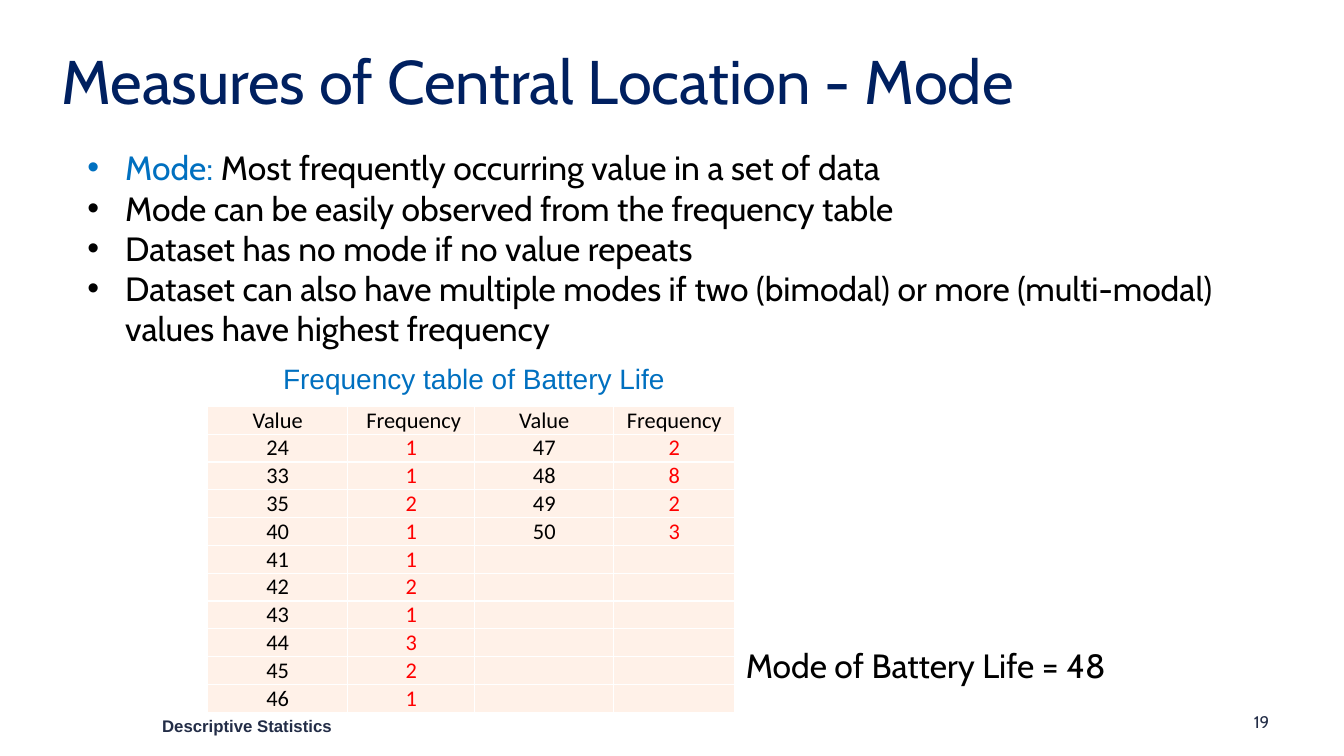
"""Build the slide on the mode as a measure of central location."""
from dataclasses import dataclass
from itertools import zip_longest

from lxml import etree
from pptx import Presentation
from pptx import util as u
from pptx.dml import color
from pptx.enum import text
from pptx.oxml import ns

HUE = {"navy": "002060", "blue": "0070C0", "black": "000000", "red": "FF0000",
       "slate": "232D47", "peach": "FFF1E8", "white": "FFFFFF"}
COLS = (100.1, 90.7, 99.4, 86.4)
ROW = 19.8
INDENT = 27
HEAD = ("Value", " Frequency", "Value", "Frequency")
LEFT = ((24, 1), (33, 1), (35, 2), (40, 1), (41, 1),
        (42, 2), (43, 1), (44, 3), (45, 2), (46, 1))
RIGHT = ((47, 2), (48, 8), (49, 2), (50, 3))


@dataclass
class Run:
    words: str
    hue: str = "black"


@dataclass
class Box:
    at: tuple[float, float, float, float]
    paras: list[list[Run]]
    size: float
    font: str = "Cabin"
    bold: bool = False
    wrap: bool = True
    middle: bool = False
    space: float = 1
    bullet: bool = False


BOXES = [
    Box((108.7, 507.6, 157.7, 21.6), [[Run("Descriptive Statistics", "slate")]],
        12, "Arial", bold=True),
    Box((888.5, 504.7, 48.2, 21.6), [[Run("19", "slate")]], 12),
    Box((36.7, 29.5, 828, 61.9), [[Run("Measures of Central Location - Mode", "navy")]],
        44, middle=True, space=0.9),
    Box((55.4, 101.5, 871.2, 152.6), [
        [Run("Mode: ", "blue"), Run("Most frequently occurring value in a set of data")],
        [Run("Mode can be easily observed from the frequency table")],
        [Run("Dataset has no mode if no value repeats")],
        [Run("Dataset can also have multiple modes if two (bimodal) or more "
             "(multi-modal) values have highest frequency")],
    ], 24, bullet=True),
    Box((525.6, 457.2, 311, 36), [[Run("Mode of Battery Life = 48")]], 24),
    Box((195.1, 254.9, 289.4, 31.7), [[Run("Frequency table of Battery Life", "blue")]],
        20, "Arial", wrap=False),
]


def tint(hue: str) -> color.RGBColor:
    return color.RGBColor.from_string(HUE[hue])


def write(para, run: Run, size: float, font: str, bold: bool = False) -> None:
    part = para.add_run()
    part.text = run.words
    part.font.size = u.Pt(size)
    part.font.name = font
    part.font.bold = bold
    part.font.color.rgb = tint(run.hue)


def mark(para) -> None:
    props = para._p.get_or_add_pPr()
    props.set("marL", str(u.Pt(INDENT)))
    props.set("indent", str(-u.Pt(INDENT)))
    etree.SubElement(props, ns.qn("a:buFont"), typeface="Arial")
    etree.SubElement(props, ns.qn("a:buChar"), char="•")


def draw(slide, box: Box) -> None:
    frame = slide.shapes.add_textbox(*map(u.Pt, box.at)).text_frame
    frame.word_wrap = box.wrap
    if box.middle:
        frame.vertical_anchor = text.MSO_ANCHOR.MIDDLE
    else:
        frame.auto_size = text.MSO_AUTO_SIZE.SHAPE_TO_FIT_TEXT
    for spot, runs in enumerate(box.paras):
        para = frame.add_paragraph() if spot else frame.paragraphs[0]
        para.line_spacing = box.space
        if box.bullet:
            mark(para)
        for run in runs:
            write(para, run, box.size, box.font, box.bold)


def edge(cell) -> None:
    props = cell._tc.get_or_add_tcPr()
    for spot, side in enumerate(("lnL", "lnR", "lnT", "lnB")):
        line = etree.Element(ns.qn(f"a:{side}"), w=str(u.Pt(1)))
        fill = etree.SubElement(line, ns.qn("a:solidFill"))
        etree.SubElement(fill, ns.qn("a:srgbClr"), val=HUE["white"])
        props.insert(spot, line)


def fill(cell, words: str, hue: str) -> None:
    cell.fill.solid()
    cell.fill.fore_color.rgb = tint("peach")
    cell.margin_left = cell.margin_right = u.Pt(0.7)
    cell.margin_top = u.Pt(0.3)
    cell.margin_bottom = u.Pt(0)
    cell.vertical_anchor = text.MSO_ANCHOR.BOTTOM
    para = cell.text_frame.paragraphs[0]
    para.alignment = text.PP_ALIGN.CENTER
    if words:
        write(para, Run(words, hue), 16, "Calibri")
    else:
        etree.SubElement(para._p, ns.qn("a:endParaRPr"), sz="1200")
    edge(cell)


def chart(slide) -> None:
    pairs = zip_longest(LEFT, RIGHT, fillvalue=("", ""))
    rows = [HEAD] + [one + two for one, two in pairs]
    area = (148.3, 290.2, sum(COLS), ROW * len(rows))
    grid = slide.shapes.add_table(len(rows), len(COLS), *map(u.Pt, area)).table
    grid.first_row = grid.horz_banding = False
    for col, wide in zip(grid.columns, COLS):
        col.width = u.Pt(wide)
    for r, row in enumerate(rows):
        grid.rows[r].height = u.Pt(ROW)
        for c, item in enumerate(row):
            fill(grid.cell(r, c), str(item), "red" if r and c % 2 else "black")


def main() -> None:
    deck = Presentation()
    deck.slide_width, deck.slide_height = u.Pt(960), u.Pt(540)
    slide = deck.slides.add_slide(deck.slide_layouts[6])
    chart(slide)
    for box in BOXES:
        draw(slide, box)
    deck.save("out.pptx")


if __name__ == "__main__":
    main()
